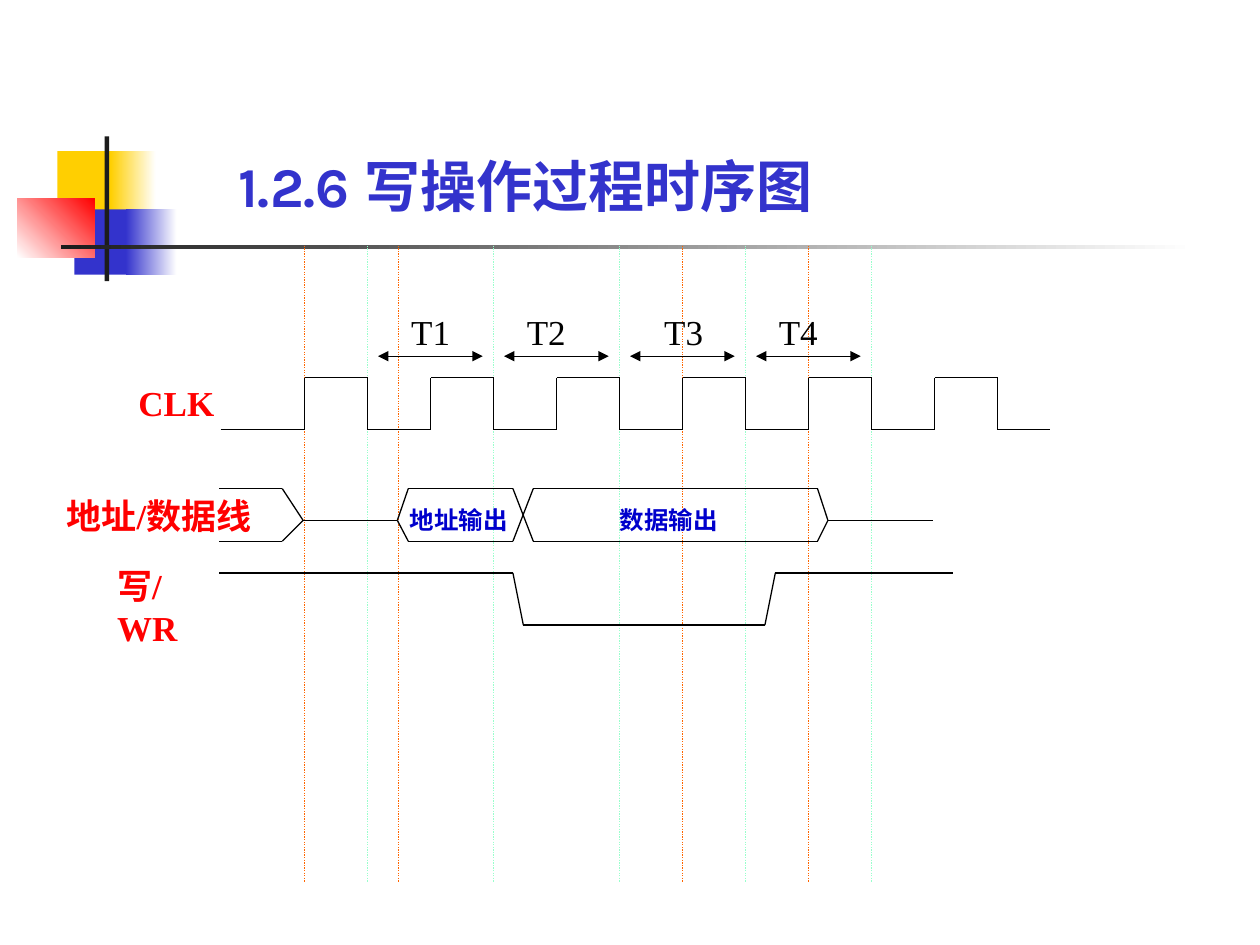
from lxml import etree
from pptx import Presentation
from pptx import util as u
from pptx.dml.color import RGBColor
from pptx.enum import dml, shapes
from pptx.oxml.ns import qn


def color(value):
    """Turn a hex string into a colour."""
    return RGBColor.from_string(value)


class TimingSlide:
    """Draw the elements of a timing diagram on one slide."""

    serif = "Times New Roman"
    heading = "Karla"
    black = "000000"
    red = "FF0000"
    blue = "3333CC"
    label_blue = "0000CC"
    yellow = "FFCF01"
    white = "FFFFFF"
    dark = "1C1C1C"
    orange = "FF6600"
    mint = "99FFCC"

    def __init__(self, presentation):
        self.slide = presentation.slides.add_slide(presentation.slide_layouts[6])

    def block(self, left, top, width, height, start, end=None, angle=0):
        """Add a borderless rectangle, plain or with a gradient."""
        shape = self.slide.shapes.add_shape(
            shapes.MSO_SHAPE.RECTANGLE, u.Cm(left), u.Cm(top), u.Cm(width), u.Cm(height))
        shape.shadow.inherit = False
        shape.line.fill.background()
        if end is None:
            shape.fill.solid()
            shape.fill.fore_color.rgb = color(start)
        else:
            shape.fill.gradient()
            shape.fill.gradient_angle = angle
            for stop, value in zip(shape.fill.gradient_stops, (start, end)):
                stop.color.rgb = color(value)

    def line(self, start, end, ink=black, dotted=False, arrows=False):
        """Add a thin straight line."""
        connector = self.slide.shapes.add_connector(
            shapes.MSO_CONNECTOR.STRAIGHT, *map(u.Cm, (*start, *end)))
        connector.line.width = u.Pt(0.75)
        connector.line.color.rgb = color(ink)
        if dotted:
            connector.line.dash_style = dml.MSO_LINE.ROUND_DOT
        if arrows:
            outline = connector.line._get_or_add_ln()
            for tag in ("a:headEnd", "a:tailEnd"):
                etree.SubElement(outline, qn(tag), type="triangle")
        etree.SubElement(connector._element.spPr, qn("a:effectLst"))

    def signal(self, *points):
        """Add a line through successive points."""
        for start, end in zip(points, points[1:]):
            self.line(start, end)

    def label(self, words, left, top, width, height, size=20, ink=black,
              bold=True, font=serif, wrap=True):
        """Add a text box holding one paragraph."""
        box = self.slide.shapes.add_textbox(
            u.Cm(left), u.Cm(top), u.Cm(width), u.Cm(height))
        box.text_frame.word_wrap = wrap
        paragraph = box.text_frame.paragraphs[0]
        paragraph.text = words
        paragraph.font.name = font
        paragraph.font.size = u.Pt(size)
        paragraph.font.bold = bold
        paragraph.font.color.rgb = color(ink)


def draw_ornament(page):
    """Draw the coloured blocks and the rule beside the title."""
    page.block(1.16, 3.05, 1.22, 1.32, page.yellow)
    page.block(2.23, 3.05, 0.91, 1.32, page.yellow, page.white)
    page.block(1.5, 4.22, 1.17, 1.32, page.blue)
    page.block(2.54, 4.22, 1.02, 1.32, page.blue, page.white)
    page.block(0.35, 4.01, 1.56, 1.18, page.white, page.red, angle=45)
    page.block(2.11, 2.75, 0.09, 2.92, page.dark)
    page.block(1.23, 4.94, 22.86, 0.09, page.dark, page.white)


def draw_clock(page, period, first_rise):
    """Draw the guides, the clock signal and its period marks."""
    low, high = 8.66, 7.61
    rises = [first_rise + period * cycle for cycle in range(6)]
    falls = [rise + period / 2 for rise in rises]
    guides = [(x, page.orange) for x in (rises[0], 8.04, rises[3], rises[4])]
    guides += [(x, page.mint) for x in falls[:5]]
    for x, ink in guides:
        page.line((x, 0.43), (x, 17.78), ink, dotted=True)

    points = [(4.45, low)]
    for rise, fall in zip(rises, falls):
        points += [(rise, low), (rise, high), (fall, high), (fall, low)]
    page.signal(*points, (21.16, low))
    page.label("CLK", 2.54, 7.57, 3.81, 1.12, ink=page.red)

    for cycle, left in enumerate((8.04, 10.37, 13.14, 15.45)):
        start = 7.62 + period * cycle
        page.line((start, 7.18), (start + 2.11, 7.18), arrows=True)
        page.label(f"T{cycle + 1}", left, 6.13, 1.7, 1.12, bold=False)


def draw_bus(page):
    """Draw the address and data bus with its labels."""
    top, middle, bottom = 9.85, 10.49, 10.91
    for near, far in ((top, bottom), (bottom, top)):
        page.signal((4.42, near), (5.69, near), (6.11, middle))
        page.signal((8.01, middle), (8.23, near), (10.34, near),
                    (10.75, far), (16.48, far), (16.69, middle))
    page.line((6.11, middle), (8.01, middle))
    page.line((16.69, middle), (18.8, middle))
    page.label("地址/数据线", 1.09, 9.85, 4.8, 1.12, ink=page.red)
    for words, left in (("地址输出", 8.01), ("数据输出", 12.24)):
        page.label(words, left, 10.06, 2.75, 0.86, size=14, ink=page.label_blue)


def draw_write(page):
    """Draw the write signal."""
    high, low = 11.55, 12.6
    page.signal((4.42, high), (10.34, high), (10.55, low),
                (15.42, low), (15.63, high), (19.22, high))
    page.label("写/WR", 2.11, 11.25, 2.6, 1.96, ink=page.red)


def main():
    """Build and save the slide."""
    presentation = Presentation()
    presentation.slide_width, presentation.slide_height = u.Cm(25.4), u.Cm(19.05)
    page = TimingSlide(presentation)
    draw_ornament(page)
    draw_clock(page, period=2.54, first_rise=6.14)
    draw_bus(page)
    draw_write(page)
    page.block(5.11, 0, 14.81, 4.93, page.white)
    page.label("1.2.6 写操作过程时序图", 4.55, 2.92, 12.7, 1.63, size=32,
               ink=page.blue, font=page.heading, wrap=False)
    presentation.save("out.pptx")


if __name__ == "__main__":
    main()
